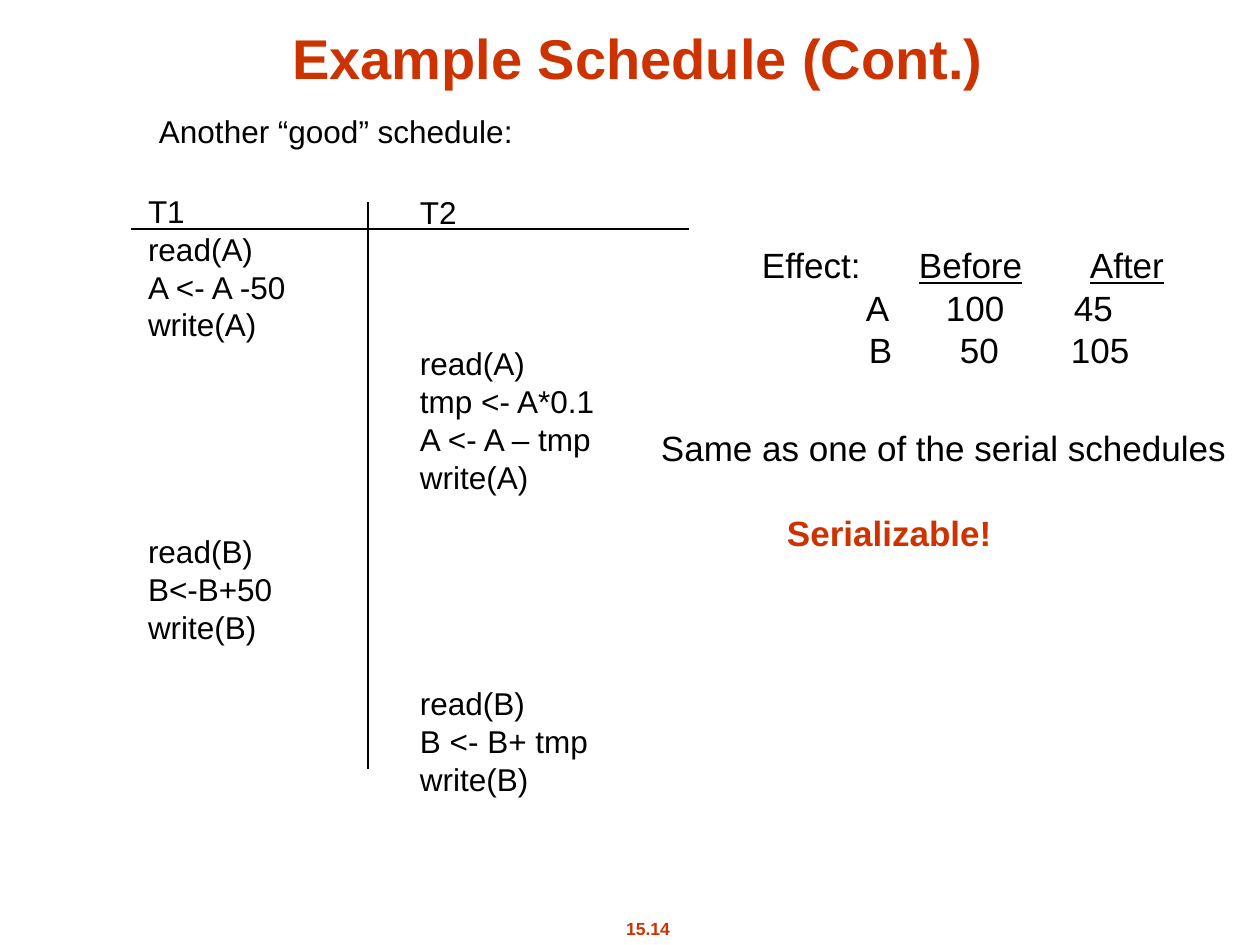
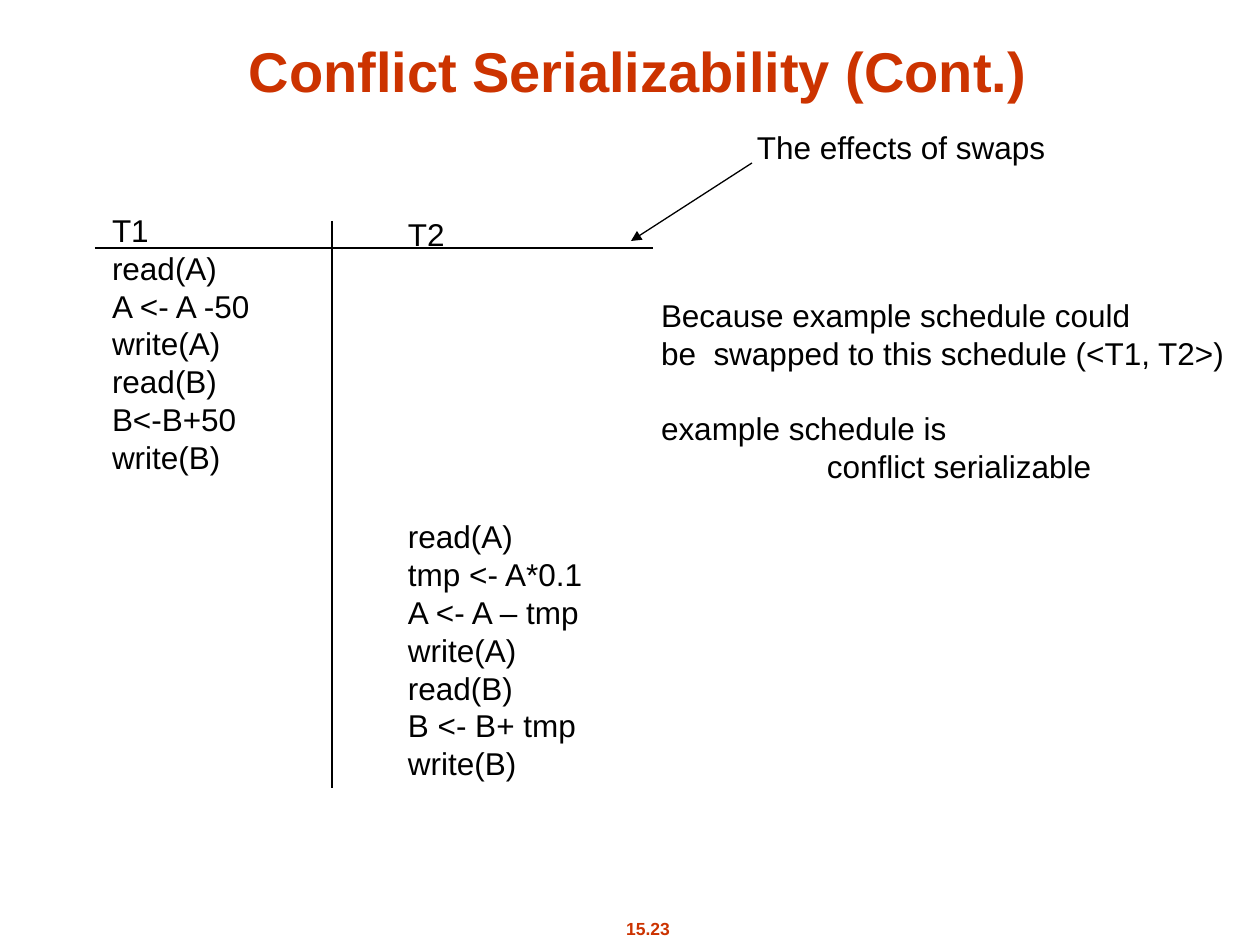
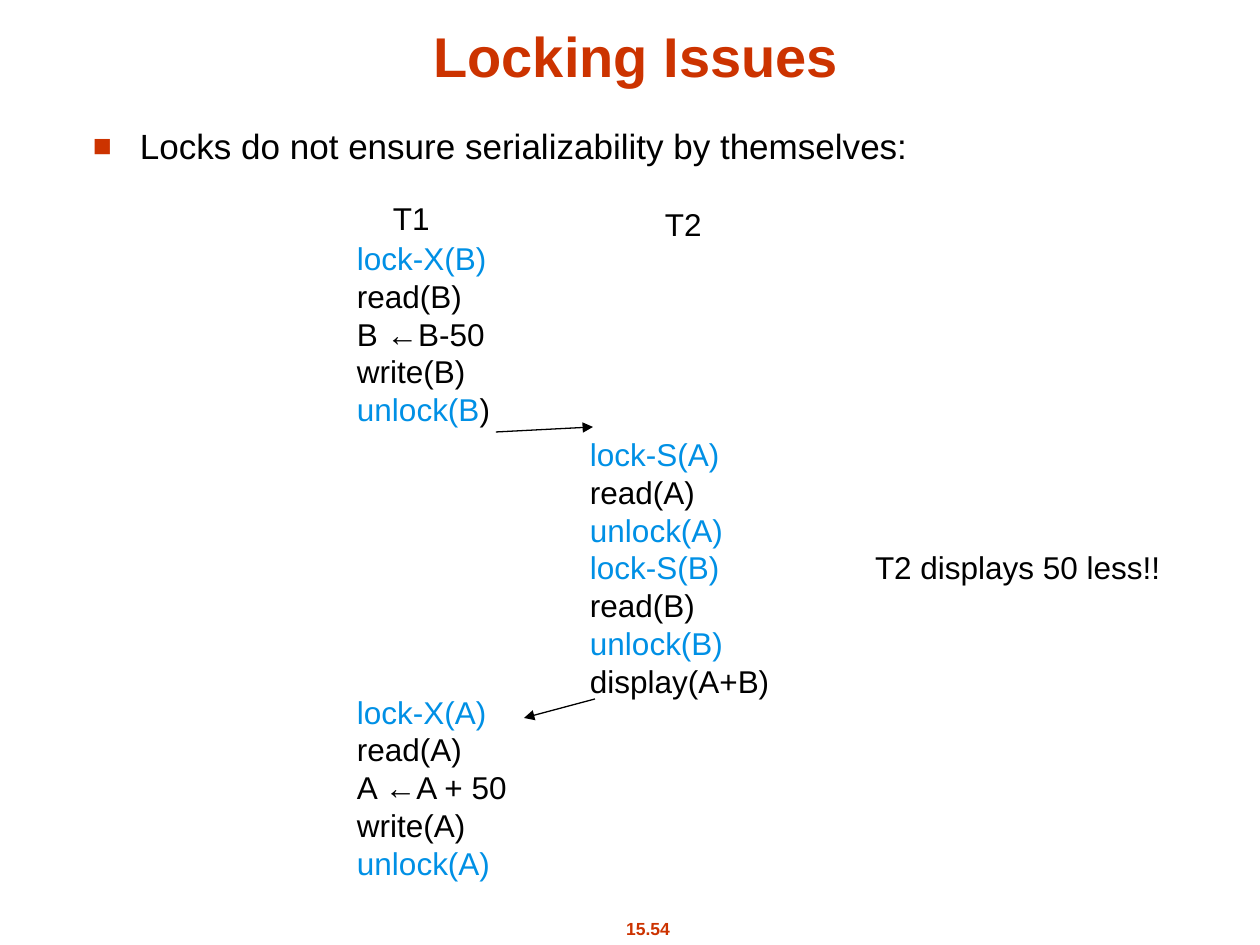
from dataclasses import dataclass

from lxml.etree import SubElement
from pptx import Presentation
from pptx.dml.color import RGBColor
from pptx.enum.shapes import MSO_CONNECTOR as Connector
from pptx.enum.text import MSO_ANCHOR as Anchor, MSO_AUTO_SIZE as AutoSize, PP_ALIGN as Align
from pptx.oxml.ns import qn
from pptx.util import Emu, Pt

PX = 914400 / 126
PX_PER_PT = 1.75
INSET_X, INSET_Y = 12, 7
BLACK, RED, BLUE = "000000", "CC3300", "0090E5"


def px(length):
    return Emu(round(length * PX))


def rgb(color):
    return RGBColor.from_string(color)


@dataclass
class Line:
    runs: list
    gap: int = 0
    indent: int = 0
    tabs: tuple = ()
    bullet: str = ""


def line(text, gap=0, indent=0, tabs=(), bullet="", **style):
    return Line([(text, style)], gap, indent, tabs, bullet)


def lines(*texts, gap=0):
    return [line(text, gap if i == 0 else 0) for i, text in enumerate(texts)]


def locks(*texts, gap=0):
    steps = lines(*texts, gap=gap)
    for step in steps:
        text = step.runs[0][0]
        if "lock" in text:
            step.runs = [(text, {"color": BLUE})]
    return steps


class Deck:
    font = "Arial"
    leading = 1.2
    width, height = 1260, 945

    def __init__(self):
        self.prs = Presentation()
        self.prs.slide_width = px(self.width)
        self.prs.slide_height = px(self.height)
        self.slide = None

    def new_slide(self, title, number, x, y):
        self.slide = self.prs.slides.add_slide(self.prs.slide_layouts[6])
        self.text(581, 911, 134, [line(number, bold=True, color=RED)], size=10, align=Align.CENTER)
        self.text(x, y, 1112, [line(title, bold=True, color=RED)], size=32, height=84,
                  align=Align.CENTER, anchor=Anchor.BOTTOM)

    def text(self, x, y, width, content, size=18, height=None, align=Align.LEFT,
             anchor=Anchor.TOP, spacing=1):
        pitch = size * self.leading * spacing
        if height is None:
            rows = sum(1 + entry.gap for entry in content)
            height = rows * pitch * PX_PER_PT + 2 * INSET_Y
        frame = self.slide.shapes.add_textbox(px(x), px(y), px(width), px(height)).text_frame
        settings = {
            "word_wrap": True,
            "auto_size": AutoSize.NONE,
            "vertical_anchor": anchor,
            "margin_left": px(INSET_X),
            "margin_right": px(INSET_X if align == Align.CENTER else 0),
            "margin_top": px(INSET_Y),
            "margin_bottom": px(INSET_Y),
        }
        for name, value in settings.items():
            setattr(frame, name, value)
        for i, entry in enumerate(content):
            paragraph = frame.add_paragraph() if i else frame.paragraphs[0]
            self.layout(paragraph, entry)
            paragraph.alignment = align
            paragraph.line_spacing = Pt(pitch)
            if entry.gap:
                paragraph.space_before = Pt(entry.gap * pitch)
            for words, style in entry.runs:
                self.run(paragraph, words, size, **style)

    def layout(self, paragraph, entry):
        props = paragraph._p.get_or_add_pPr()
        if entry.indent:
            props.set("marL", str(px(entry.indent)))
        if entry.bullet:
            props.set("indent", str(-px(entry.indent)))
            SubElement(SubElement(props, qn("a:buClr")), qn("a:srgbClr"), val=RED)
            SubElement(props, qn("a:buSzPct"), val="90000")
            SubElement(props, qn("a:buFont"), typeface=self.font)
            SubElement(props, qn("a:buChar"), char=entry.bullet)
        if entry.tabs:
            stops = SubElement(props, qn("a:tabLst"))
            for stop in entry.tabs:
                SubElement(stops, qn("a:tab"), pos=str(px(stop)), algn="l")

    def run(self, paragraph, words, size, color=BLACK, **style):
        run = paragraph.add_run()
        run.text = words
        for name, value in {"name": self.font, "size": Pt(size), **style}.items():
            setattr(run.font, name, value)
        run.font.color.rgb = rgb(color)

    def rule(self, x1, y1, x2, y2, arrow=False):
        rule = self.slide.shapes.add_connector(Connector.STRAIGHT, px(x1), px(y1), px(x2), px(y2))
        rule.line.width = Pt(0.75)
        rule.line.color.rgb = rgb(BLACK)
        if arrow:
            SubElement(rule.line._get_or_add_ln(), qn("a:tailEnd"), type="triangle")
        SubElement(rule._element.spPr, qn("a:effectLst"))

    def schedule_grid(self, x, y):
        self.rule(x, y, x + 558, y)
        self.rule(x + 237, y - 27, x + 237, y + 540)


def main():
    deck = Deck()
    header1, header2 = lines("T1"), lines("T2")
    debit_a = "read(A)", "A <- A -50", "write(A)"
    credit_b = "read(B)", "B<-B+50", "write(B)"
    tithe_a = "read(A)", "tmp <- A*0.1", "A <- A – tmp", "write(A)"
    tithe_b = "read(B)", "B <- B+ tmp", "write(B)"

    deck.new_slide("Example Schedule (Cont.)", "15.14", 82, 14)
    deck.text(147, 109, 926, lines("Another “good” schedule:"), height=78, spacing=0.9)
    deck.text(136, 185, 168, header1 + lines(*debit_a) + lines(*credit_b, gap=5))
    deck.text(408, 186, 200, header2 + lines(*tithe_a, gap=3) + lines(*tithe_b, gap=5))
    deck.schedule_grid(131, 229)
    underlined = {"underline": True}
    effect_heading = Line([("Effect:\t", {}), ("Before", underlined), ("\t", {}),
                           ("After", underlined)], tabs=(157, 328))
    deck.text(750, 237, 428, [
        effect_heading,
        line("A\t100\t45", indent=104, tabs=(80, 236)),
        line("B\t50\t105", indent=107, tabs=(91, 237)),
    ], size=20)
    deck.text(649, 420, 590, [
        line("Same as one of the serial schedules"),
        line("Serializable!", gap=1, indent=126, bold=True, color=RED),
    ], size=20)

    deck.new_slide("Conflict Serializability (Cont.)", "15.23", 82, 27)
    deck.text(100, 204, 168, header1 + lines(*debit_a, *credit_b))
    deck.text(396, 208, 200, header2 + lines(*tithe_a, *tithe_b, gap=7))
    deck.schedule_grid(95, 248)
    deck.text(745, 121, 314, lines("The effects of swaps"))
    deck.rule(752, 163, 631, 241, arrow=True)
    deck.text(649, 289, 588, [
        *lines("Because example schedule could", "be  swapped to this schedule (<T1, T2>)"),
        line("example schedule is", gap=1),
        line("conflict serializable", indent=166),
    ])

    deck.new_slide("Locking Issues", "15.54", 80, 12)
    deck.text(81, 118, 1061, [line("Locks do not ensure serializability by themselves:",
                                   indent=47, bullet="■")], size=20, height=76)
    unlock_b = Line([("unlock(B", {"color": BLUE}), (")", {})])
    deck.text(345, 232, 178, [
        *locks("lock-X(B)", "read(B)", "B ←B-50", "write(B)"),
        unlock_b,
        *locks("lock-X(A)", "read(A)", "A ←A + 50", "write(A)", "unlock(A)", gap=7),
    ])
    deck.text(578, 428, 204, locks("lock-S(A)", "read(A)", "unlock(A)", "lock-S(B)", "read(B)",
                                   "unlock(B)", "display(A+B)"))
    deck.text(381, 192, 62, header1)
    deck.text(653, 198, 62, header2)
    deck.rule(496, 432, 593, 427, arrow=True)
    deck.rule(595, 699, 524, 718, arrow=True)
    deck.text(863, 541, 310, lines("T2 displays 50 less!!"))

    deck.prs.save("out.pptx")


if __name__ == "__main__":
    main()
